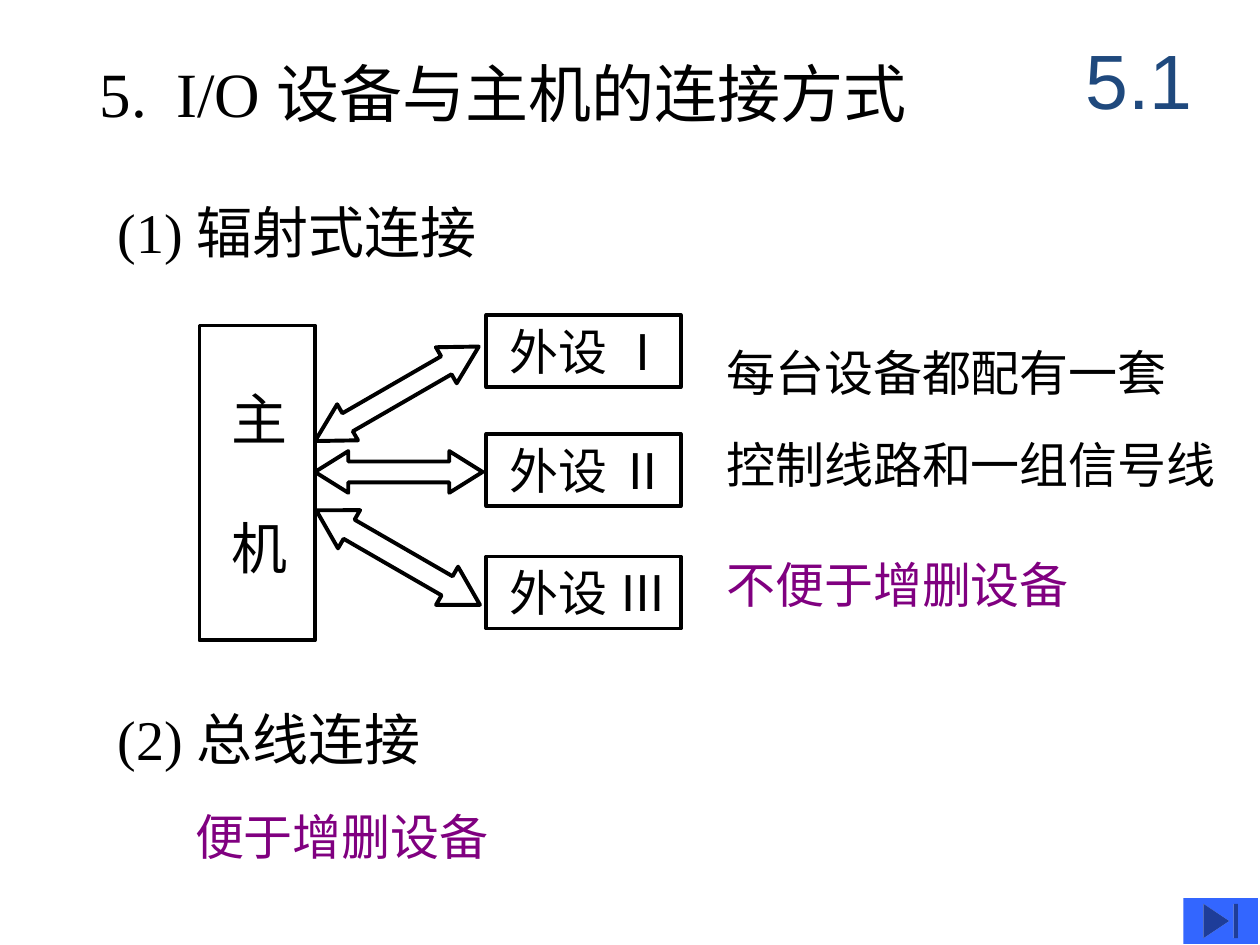
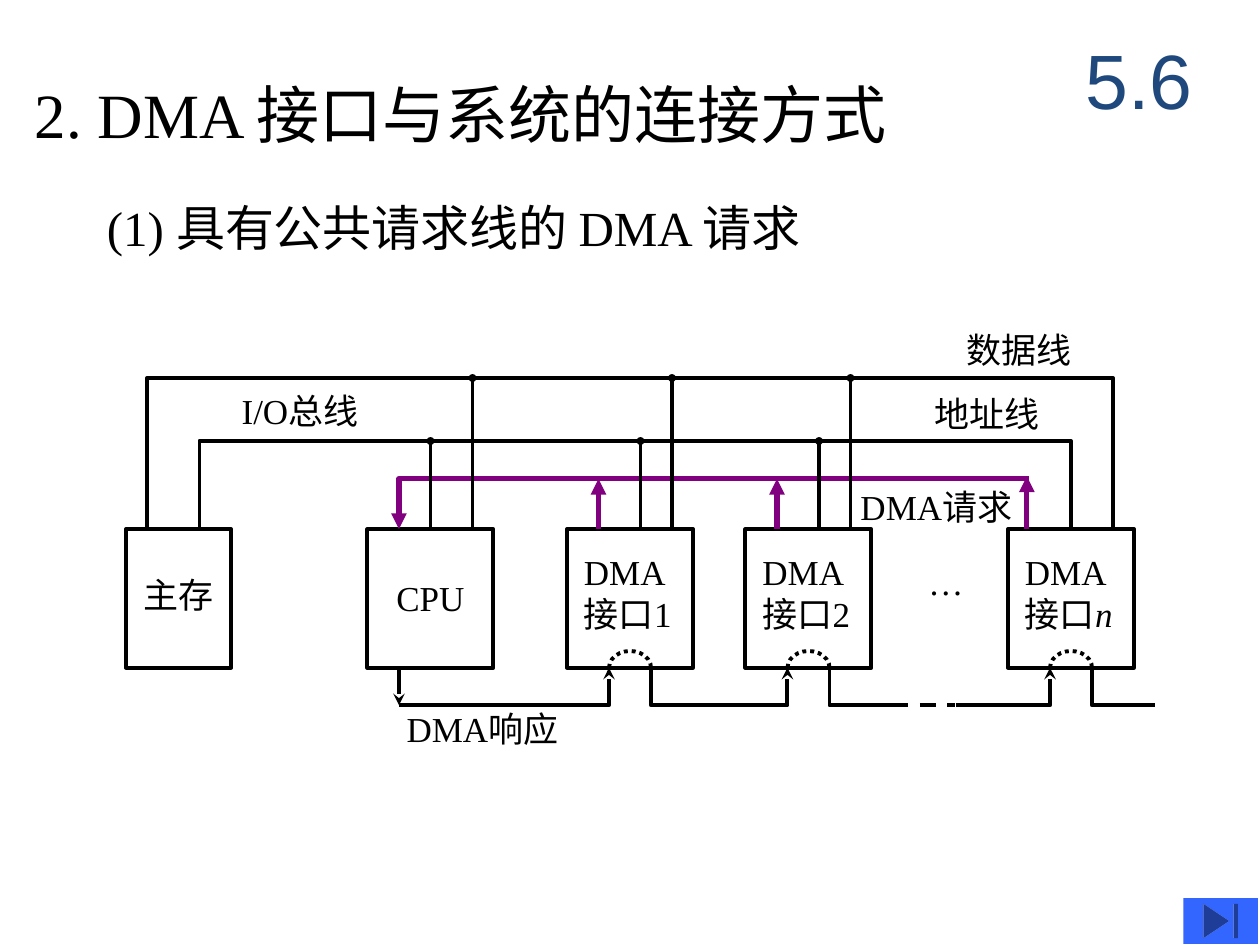
from lxml import etree
from pptx import Presentation
from pptx.dml.color import RGBColor
from pptx.enum.dml import MSO_LINE
from pptx.enum.shapes import MSO_CONNECTOR, MSO_SHAPE
from pptx.enum.text import MSO_ANCHOR, MSO_AUTO_SIZE, PP_ALIGN
from pptx.oxml.ns import qn
from pptx.util import Pt

RECTANGLE = MSO_SHAPE.RECTANGLE
DOUBLE_ARROW = MSO_SHAPE.LEFT_RIGHT_ARROW
ARC = MSO_SHAPE.ARC
END_BUTTON = MSO_SHAPE.ACTION_BUTTON_END
STRAIGHT = MSO_CONNECTOR.STRAIGHT
DASH, DOTS = MSO_LINE.DASH, MSO_LINE.ROUND_DOT
TOP, MIDDLE = MSO_ANCHOR.TOP, MSO_ANCHOR.MIDDLE
LEFT, CENTER = PP_ALIGN.LEFT, PP_ALIGN.CENTER
FIXED = MSO_AUTO_SIZE.NONE

COLORS = {"ink": "000000", "accent": "800080", "section": "1F497D", "button": "3366FF"}
SERIF, SANS = "Times New Roman", "Arial"


def write(frame, lines, size, color="ink", face=SERIF, align=LEFT, **frame_format):
    settings = {"word_wrap": True, "auto_size": FIXED, "vertical_anchor": TOP}
    for name, value in {**settings, **frame_format}.items():
        setattr(frame, name, value)
    for index, line in enumerate(lines):
        paragraph = frame.add_paragraph() if index else frame.paragraphs[0]
        paragraph.alignment = align
        for text in line:
            run = paragraph.add_run()
            run.text = text
            font_format = {"size": Pt(size), "name": face, "italic": text == "n"}
            for name, value in font_format.items():
                setattr(run.font, name, value)
            run.font.color.rgb = RGBColor.from_string(COLORS[color])


def outline(shape, color="ink", width=2.25, dash=None, end=None, end_size="med"):
    if hasattr(shape, "fill"):
        shape.fill.background()
        shape.shadow.inherit = False
    else:
        etree.SubElement(shape._element.spPr, qn("a:effectLst"))
    shape.line.color.rgb = RGBColor.from_string(COLORS[color])
    shape.line.width = Pt(width)
    if dash:
        shape.line.dash_style = dash
    if end:
        etree.SubElement(shape.line._get_or_add_ln(), qn("a:tailEnd"),
                         type=end, w=end_size, len=end_size)


deck = Presentation()
deck.slide_width, deck.slide_height = Pt(720), Pt(540)

headings = [
    ("5.\tI/O 设备与主机的连接方式", (49.7, 27.4, 510, 50.4), "5.1"),
    ("2. DMA 接口与系统的连接方式", (12.6, 39.6, 530, 50.4), "5.6"),
]
for heading, heading_box, section in headings:
    slide = deck.slides.add_slide(deck.slide_layouts[5])
    title = slide.shapes.title
    for name, value in zip(("left", "top", "width", "height"), heading_box):
        setattr(title, name, Pt(value))
    if "\t" in heading:
        properties = title.text_frame.paragraphs[0]._p.get_or_add_pPr()
        tab_stops = etree.SubElement(properties, qn("a:tabLst"))
        etree.SubElement(tab_stops, qn("a:tab"), pos=str(Pt(44)), algn="l")
    write(title.text_frame, [[heading]], 36)
    section_number = slide.shapes.add_textbox(Pt(606), Pt(12), Pt(90), Pt(66))
    write(section_number.text_frame, [[section]], 44, "section", SANS, CENTER,
          vertical_anchor=MIDDLE)
    button = slide.shapes.add_shape(END_BUTTON, Pt(676.2), Pt(513.2), Pt(42.6), Pt(26.2))
    button.shadow.inherit = False
    button.fill.solid()
    button.fill.fore_color.rgb = RGBColor.from_string(COLORS["button"])
    button.line.fill.background()

connection_slide, dma_slide = deck.slides
shapes = connection_slide.shapes

statements = [
    ("(1) 辐射式连接", 60, 109.4, 306, 32, "ink"),
    ("(2) 总线连接", 60, 399, 282, 32, "ink"),
    ("每台设备都配有一套", 408, 192.2, 300, 28, "ink"),
    ("控制线路和一组信号线", 408, 244.8, 300, 28, "ink"),
    ("不便于增删设备", 408, 313.2, 246, 28, "accent"),
    ("便于增删设备", 104.4, 457.2, 474, 28, "accent"),
    ("主", 125, 216, 50, 32, "ink"),
    ("机", 125, 290, 50, 32, "ink"),
]
for text, left, top, width, size, color in statements:
    statement = shapes.add_textbox(Pt(left), Pt(top), Pt(width), Pt(size * 1.45))
    write(statement.text_frame, [[text]], size, color)

host = shapes.add_shape(RECTANGLE, Pt(114), Pt(186), Pt(66), Pt(180))
outline(host)

for numeral, top in zip("ⅠⅡⅢ", (180, 248, 318)):
    device = shapes.add_shape(RECTANGLE, Pt(278), Pt(top), Pt(111), Pt(41.2))
    outline(device)
    write(device.text_frame, [["外设 " + numeral]], 28,
          margin_left=Pt(13.2), margin_right=Pt(0))

signal_paths = [
    (172.8, 213.1, 108, 23.8, 150, 0.9),
    (180, 257.8, 95.8, 23.8, 0, 0.8),
    (173.5, 306, 108, 25.2, 30, 0.86),
]
for left, top, width, height, angle, head in signal_paths:
    signal = shapes.add_shape(DOUBLE_ARROW, Pt(left), Pt(top), Pt(width), Pt(height))
    signal.rotation = angle
    signal.adjustments[1] = head
    outline(signal)

shapes = dma_slide.shapes
subheading = shapes.add_textbox(Pt(54), Pt(109.4), Pt(474), Pt(41))
write(subheading.text_frame, [["(1) 具有公共请求线的 DMA 请求"]], 28)

box_top, box_bottom = 302.4, 381.6
data_y, address_y, request_y, response_y = 216, 252, 273.6, 403
memory_left, cpu_left = 72, 210
interfaces = {"1": 324, "2": 426, "n": 576}
last_left = interfaces["n"]

for left, width in [(memory_left, 60), (cpu_left, 72)] + [(x, 72) for x in interfaces.values()]:
    unit = shapes.add_shape(RECTANGLE, Pt(left), Pt(box_top), Pt(width), Pt(box_bottom - box_top))
    outline(unit)

for number, left in interfaces.items():
    name_box = shapes.add_textbox(Pt(left + 2.6), Pt(311), Pt(72), Pt(55.4))
    write(name_box.text_frame, [["DMA"], ["接口", number]], 20, margin_right=Pt(0))
    bypass = shapes.add_shape(ARC, Pt(left + 24), Pt(box_bottom - 9.6), Pt(24), Pt(19.2))
    bypass.adjustments[0], bypass.adjustments[1] = 108, 0
    outline(bypass, dash=DOTS)

labels = [
    ("主存", 75, 324, 56), ("CPU", 219.4, 326, 56), ("…", 523.4, 316.8, 34.6),
    ("DMA响应", 225.2, 401, 112), ("I/O总线", 131, 218.9, 90),
    ("数据线", 545, 184.3, 80), ("地址线", 527, 221, 80), ("DMA请求", 484.6, 274, 112),
]
for text, left, top, width in labels:
    label = shapes.add_textbox(Pt(left), Pt(top), Pt(width), Pt(31.7))
    write(label.text_frame, [[text]], 20, margin_right=Pt(0))

black, purple = {}, {"color": "accent", "width": 3, "end": "triangle"}
tap, response = {"end": "oval", "end_size": "sm"}, {"end": "stealth"}

routes = [
    ([(84, box_top), (84, data_y), (636, data_y), (636, box_top)], black),
    ([(114, box_top), (114, address_y), (612, address_y), (612, box_top)], black),
    ([(588, request_y), (228, request_y), (228, box_top)], purple),
    ([(228, response_y), (348, response_y), (348, box_bottom)], response),
    ([(372, box_bottom), (372, response_y), (450, response_y), (450, box_bottom)], response),
    ([(474, box_bottom), (474, response_y), (510, response_y)], black),
    ([(546, response_y), (600, response_y), (600, box_bottom)], response),
    ([(624, box_bottom), (624, response_y), (660, response_y)], black),
]
for points, line_format in routes:
    corners = [(Pt(x), Pt(y)) for x, y in points]
    builder = shapes.build_freeform(*corners[0])
    builder.add_line_segments(corners[1:], close=False)
    outline(builder.convert_to_shape(), **line_format)

wires = [
    (228, box_bottom, 228, response_y, response),
    (510, response_y, 546, response_y, {"dash": DASH}),
    (last_left + 10.8, box_top, last_left + 10.8, 272.2, purple),
]
for left, address_offset in ((cpu_left, 36), (interfaces["1"], 42), (interfaces["2"], 42)):
    wires.append((left + 60, box_top, left + 60, data_y, tap))
    wires.append((left + address_offset, box_top, left + address_offset, address_y, tap))
for number in "12":
    request_x = interfaces[number] + 18
    wires.append((request_x, box_top, request_x, request_y, purple))
for start_x, start_y, end_x, end_y, line_format in wires:
    wire = shapes.add_connector(STRAIGHT, Pt(start_x), Pt(start_y), Pt(end_x), Pt(end_y))
    outline(wire, **line_format)

deck.save("out.pptx")
